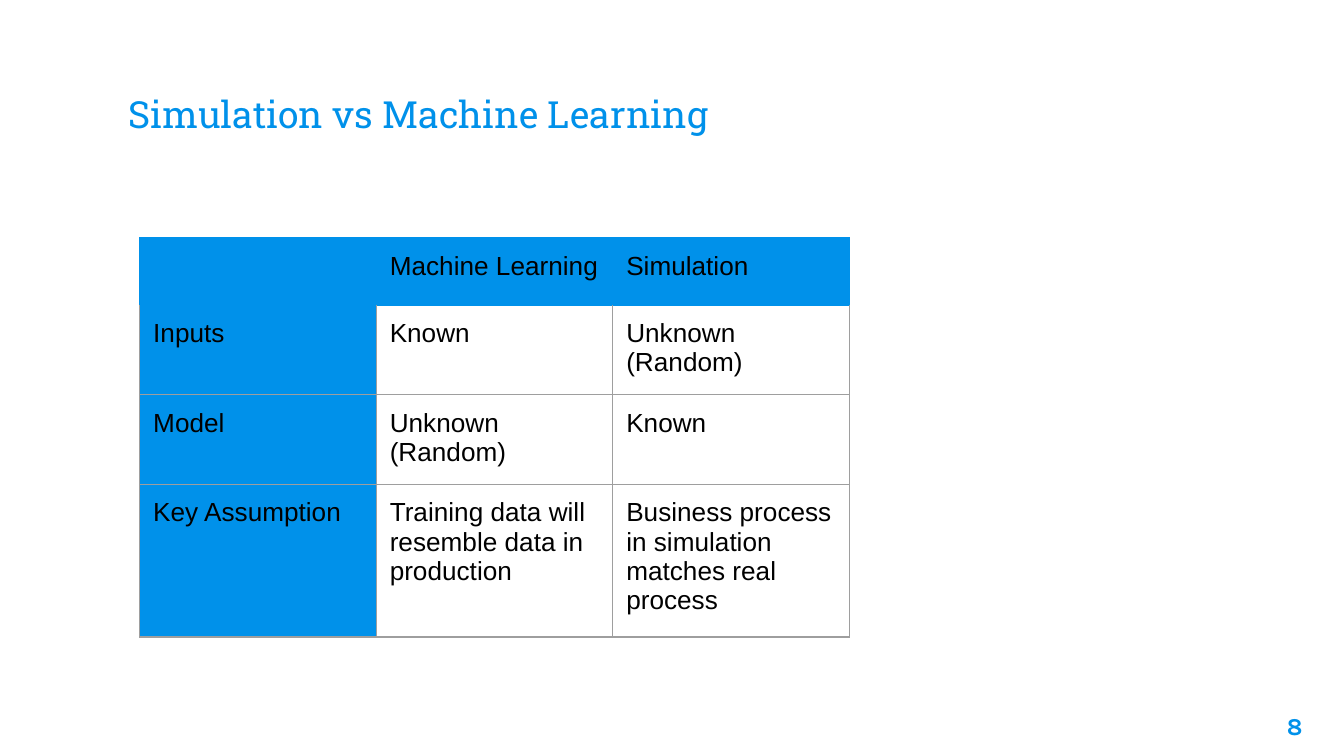
from lxml import etree
from pptx import Presentation
from pptx.dml.color import RGBColor
from pptx.enum import text
from pptx.oxml.ns import qn
from pptx.util import Inches, Pt

BLUE = RGBColor(0x00, 0x91, 0xEA)
GREY = RGBColor(0x9E, 0x9E, 0x9E)
BLACK = RGBColor(0x00, 0x00, 0x00)

INSET = Inches(0.1)
FRAME_SIZE = 3.28
COLUMN_WIDTH = 1.76
MIN_ROW_HEIGHT = 0.42
COMPARISON = [
    ["", "Machine Learning", "Simulation"],
    ["Inputs", "Known", "Unknown (Random)"],
    ["Model", "Unknown (Random)", "Known"],
    ["Key Assumption", "Training data will resemble data in production",
     "Business process in simulation matches real process"],
]


def write(tf, content, font="Arial", size=14, color=BLACK, bold=False,
          align=text.PP_ALIGN.LEFT):
    p = tf.paragraphs[0]
    p.alignment = align
    r = p.add_run()
    r.text = content
    r.font.name = font
    r.font.size = Pt(size)
    r.font.bold = bold
    r.font.color.rgb = color


def add_text(slide, content, left, top, width, height,
             anchor=text.MSO_ANCHOR.TOP, **style):
    sp = slide.shapes.add_textbox(Inches(left), Inches(top),
                                  Inches(width), Inches(height))
    tf = sp.text_frame
    tf.word_wrap = True
    tf.vertical_anchor = anchor
    tf.margin_left = tf.margin_right = tf.margin_top = tf.margin_bottom = INSET
    write(tf, content, **style)


def set_border(cell, side, color):
    """Draw one cell edge; call for the sides in the order L, R, T, B."""
    tc_pr = cell._tc.get_or_add_tcPr()
    ln = etree.SubElement(tc_pr, qn(f"a:ln{side}"), w=str(Pt(0.75)))
    fill = etree.SubElement(ln, qn("a:solidFill"))
    etree.SubElement(fill, qn("a:srgbClr"), val=str(color))


def format_cell(cell, row, col):
    cell.margin_left = cell.margin_right = INSET
    cell.margin_top = cell.margin_bottom = INSET
    for side in "LRTB":
        in_header = row == 0 or (row == 1 and side == "T")
        set_border(cell, side, BLUE if in_header else GREY)
    if row == 0 or col == 0:
        cell.fill.solid()
        cell.fill.fore_color.rgb = BLUE
    else:
        cell.fill.background()


def add_comparison_table(slide, left, top):
    """Rows start at the minimum height and grow with their text."""
    frame = slide.shapes.add_table(
        len(COMPARISON), len(COMPARISON[0]), Inches(left), Inches(top),
        Inches(FRAME_SIZE), Inches(FRAME_SIZE))
    table = frame.table
    table.first_row = table.horz_banding = False
    for column in table.columns:
        column.width = Inches(COLUMN_WIDTH)
    for i, entries in enumerate(COMPARISON):
        table.rows[i].height = Inches(MIN_ROW_HEIGHT)
        for j, entry in enumerate(entries):
            cell = table.cell(i, j)
            format_cell(cell, i, j)
            if entry:
                write(cell.text_frame, entry)
    frame.width = frame.height = Inches(FRAME_SIZE)


def main():
    prs = Presentation()
    prs.slide_width = Inches(10)
    prs.slide_height = prs.slide_width * 9 // 16
    slide = prs.slides.add_slide(prs.slide_layouts[6])
    add_text(slide, "Simulation vs Machine Learning", 0.86, 0.34, 8.28, 0.77,
             anchor=text.MSO_ANCHOR.BOTTOM, font="Roboto Slab", size=20,
             color=BLUE)
    add_text(slide, "8", 9.19, 5.19, 0.6, 0.43, font="Karla", size=13,
             color=BLUE, bold=True, align=text.PP_ALIGN.RIGHT)
    add_comparison_table(slide, 1.04, 1.77)
    prs.save("out.pptx")


if __name__ == "__main__":
    main()
